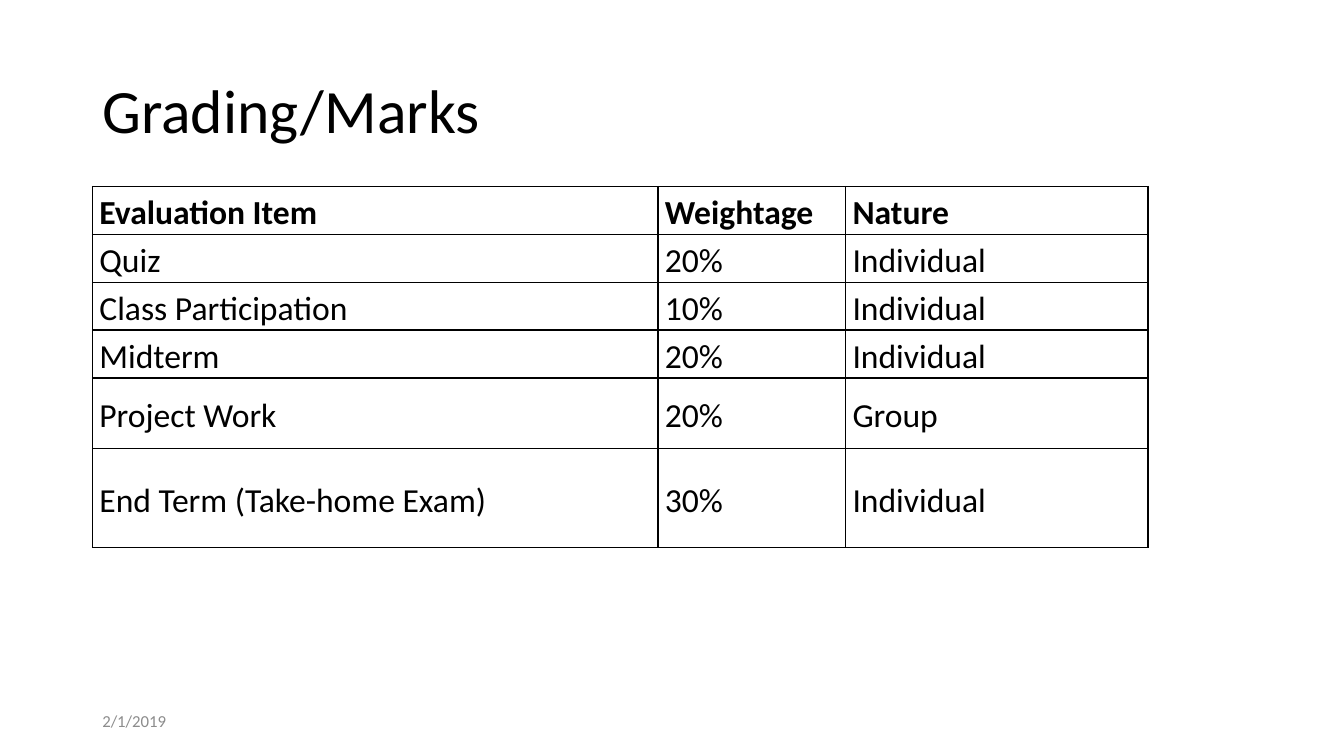
import pptx
import pptx.dml.color
import pptx.enum.text
import pptx.oxml
import pptx.oxml.ns
import pptx.util

Pt = pptx.util.Pt
ALIGN = pptx.enum.text.PP_ALIGN
MIDDLE = pptx.enum.text.MSO_ANCHOR.MIDDLE
LEFT = 66
ROWS = [
    ("Evaluation Item", "Weightage", "Nature"),
    ("Quiz", "20%", "Individual"),
    ("Class Participation", "10%", "Individual"),
    ("Midterm", "20%", "Individual"),
    ("Project Work", "20%", "Group"),
    ("End Term (Take-home Exam)", "30%", "Individual"),
]
COL_WIDTHS = [404, 134, 216]
ROW_HEIGHTS = [34.2] * 4 + [50.5, 70.5]


def rgb(color):
    return pptx.dml.color.RGBColor.from_string(color)


def set_attrs(obj, values):
    for name, value in values.items():
        setattr(obj, name, value)


def write(tf, text, size, color="000000", bold=False, align=ALIGN.LEFT, spacing=1.0):
    p = tf.paragraphs[0]
    set_attrs(p, {"alignment": align, "line_spacing": spacing})
    r = p.add_run()
    r.text = text
    set_attrs(r.font, {"name": "Calibri", "size": Pt(size), "bold": bold})
    r.font.color.rgb = rgb(color)


def add_title(slide, text):
    sp = slide.shapes.title
    set_attrs(sp, {"left": Pt(LEFT), "top": Pt(29), "width": Pt(828), "height": Pt(104.4)})
    sp.text_frame.vertical_anchor = MIDDLE
    write(sp.text_frame, text, 44, spacing=0.9)


def add_borders(cell, color, width):
    tc_pr = cell._tc.get_or_add_tcPr()
    for i, side in enumerate("LRTB"):
        ln = pptx.oxml.parse_xml(
            f'<a:ln{side} {pptx.oxml.ns.nsdecls("a")} w="{Pt(width)}">'
            f'<a:solidFill><a:srgbClr val="{color}"/></a:solidFill></a:ln{side}>'
        )
        tc_pr.insert(i, ln)


def format_cell(cell, text, bold):
    set_attrs(cell, {
        "margin_left": Pt(5), "margin_right": Pt(5),
        "margin_top": 0, "margin_bottom": 0, "vertical_anchor": MIDDLE,
    })
    cell.fill.solid()
    cell.fill.fore_color.rgb = rgb("FFFFFF")
    add_borders(cell, "000000", 1)
    write(cell.text_frame, text, 24, bold=bold, align=ALIGN.JUSTIFY, spacing=1.15)


def add_grading_table(slide):
    table = slide.shapes.add_table(
        len(ROWS), len(COL_WIDTHS), Pt(LEFT), Pt(133.2),
        Pt(sum(COL_WIDTHS)), Pt(sum(ROW_HEIGHTS)),
    ).table
    set_attrs(table, {"first_row": True, "horz_banding": False})
    for col, width in zip(table.columns, COL_WIDTHS):
        col.width = Pt(width)
    for i, (row, height) in enumerate(zip(table.rows, ROW_HEIGHTS)):
        row.height = Pt(height)
        for cell, text in zip(row.cells, ROWS[i]):
            format_cell(cell, text, bold=i == 0)


def add_date(slide, text):
    sp = slide.shapes.add_textbox(Pt(LEFT), Pt(500.5), Pt(216), Pt(28.75))
    set_attrs(sp.text_frame, {"word_wrap": True, "vertical_anchor": MIDDLE})
    write(sp.text_frame, text, 12, "8C8C8C")


def main():
    prs = pptx.Presentation()
    set_attrs(prs, {"slide_width": Pt(960), "slide_height": Pt(540)})
    slide = prs.slides.add_slide(prs.slide_layouts[5])
    add_title(slide, "Grading/Marks")
    add_grading_table(slide)
    add_date(slide, "2/1/2019")
    prs.save("out.pptx")


if __name__ == "__main__":
    main()
